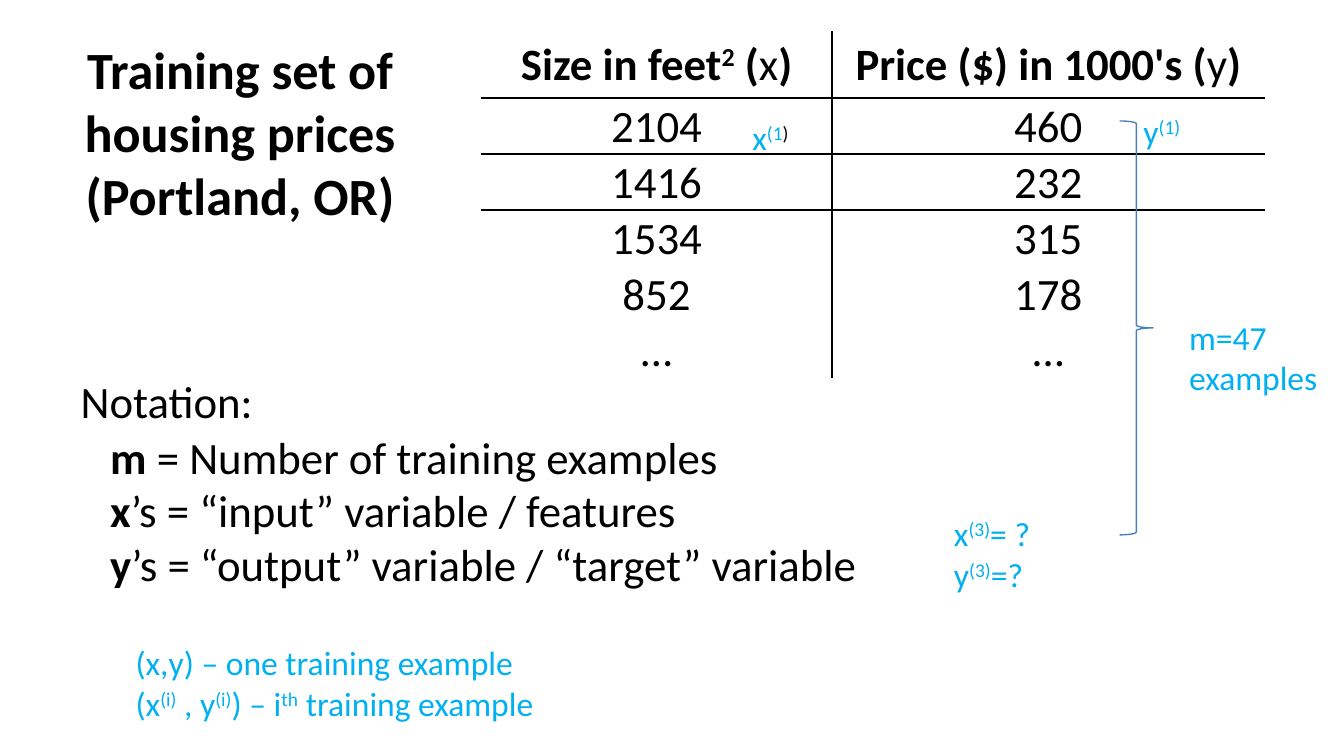
from lxml import etree
from pptx import Presentation
from pptx.dml.color import RGBColor
from pptx.enum.shapes import MSO_SHAPE
from pptx.enum.text import MSO_ANCHOR, MSO_AUTO_SIZE, PP_ALIGN
from pptx.oxml.ns import qn
from pptx.util import Inches, Pt

BLACK = RGBColor(0x00, 0x00, 0x00)
CYAN = RGBColor(0x00, 0xB0, 0xF0)
BLUE = RGBColor(0x4B, 0x7E, 0xBC)
FONT = "Calibri"
NO_STYLE = "{2D5ABB26-0587-4C30-8999-92F81FD0307C}"

# A paragraph is a list of (text, style): "b" bold, "^" superscript, "k" black
TITLE = [[(line, "b")] for line in
         ("Training set of", "housing prices", "(Portland, OR)")]
NOTATION = [
    [("Notation:", "")],
    [("m", "b"), (" = Number of training examples", "")],
    [("x", "b"), ("’s = “input” variable / features", "")],
    [("y", "b"), ("’s = “output” variable / “target” variable", "")],
]
HEADER = [
    [("Size in feet", "b"), ("2", "b^"), (" (", "b"), ("x", ""), (")", "b")],
    [("Price ($) in 1000's (", "b"), ("y", ""), (")", "b")],
]
HOUSES = [("2104", "460"), ("1416", "232"), ("1534", "315"),
          ("852", "178"), ("…", "…")]
COL_WIDTHS = (2.61, 3.22)
HEADER_HEIGHT, ROW_HEIGHT, TABLE_HEIGHT = 0.5, 0.32, 2.54  # rows grow to their text
RULED_ROWS = (0, 1)  # rows with a line below

# (left, top, width, height), paragraphs
NOTES = [
    ((8.75, 2.31, 1.17, 0.71), [[("m=47", "")], [("examples", "")]]),
    ((5.5, 0.82, 0.5, 0.4), [[("x", ""), ("(1", "^"), (")", "^k")]]),
    ((8.41, 0.78, 0.5, 0.4), [[("y", ""), ("(1)", "^")]]),
    ((0.91, 4.73, 3.25, 1.21), [
        [("(x,y) – one training example", "")],
        [("(x", ""), ("(i)", "^"), (" , y", ""), ("(i)", "^"),
         (") – i", ""), ("th", "^"), (" training example", "")],
    ]),
    ((7, 3.77, 1.5, 0.71), [
        [("x", ""), ("(3)", "^"), ("= ?", "")],
        [("y", ""), ("(3)", "^"), ("=?", "")],
    ]),
]


def write(tf, paragraphs, size, color=BLACK, align=PP_ALIGN.LEFT):
    for i, parts in enumerate(paragraphs):
        p = tf.add_paragraph() if i else tf.paragraphs[0]
        p.alignment = align
        p.space_before = Pt(0)
        for text, style in parts:
            r = p.add_run()
            r.text = text
            r.font.name, r.font.size = FONT, Pt(size)
            r.font.bold = "b" in style
            r.font.color.rgb = BLACK if "k" in style else color
            if "^" in style:
                r.font._element.set("baseline", "30000")


def place(sp, box):
    sp.left, sp.top, sp.width, sp.height = map(Inches, box)
    tf = sp.text_frame
    tf.word_wrap = False
    tf.auto_size = MSO_AUTO_SIZE.NONE
    tf.vertical_anchor = MSO_ANCHOR.TOP
    return tf


def add_border(cell, side):
    tcPr = cell._tc.get_or_add_tcPr()
    ln = etree.SubElement(tcPr, qn(f"a:ln{side}"), w=str(Pt(1)))
    fill = etree.SubElement(ln, qn("a:solidFill"))
    etree.SubElement(fill, qn("a:srgbClr"), val=str(BLACK))


def add_house_table(s):
    rows = [HEADER] + [[[(value, "")] for value in house] for house in HOUSES]
    frame = s.shapes.add_table(len(rows), len(COL_WIDTHS), Inches(3.58), Inches(0.23),
                               Inches(sum(COL_WIDTHS)), Inches(TABLE_HEIGHT))
    table = frame.table
    table.first_row = table.horz_banding = False
    table._tbl.tblPr.find(qn("a:tableStyleId")).text = NO_STYLE
    for column, width in zip(table.columns, COL_WIDTHS):
        column.width = Inches(width)
    for i, row in enumerate(rows):
        table.rows[i].height = Inches(ROW_HEIGHT if i else HEADER_HEIGHT)
        for j, parts in enumerate(row):
            cell = table.cell(i, j)
            cell.margin_left = cell.margin_right = cell.margin_top = Inches(0.01)
            cell.margin_bottom = 0
            cell.vertical_anchor = MSO_ANCHOR.BOTTOM if i else MSO_ANCHOR.MIDDLE
            write(cell.text_frame, [parts], 24, align=PP_ALIGN.CENTER)
            add_border(cell, "L" if j else "R")
            if i - 1 in RULED_ROWS:
                add_border(cell, "T")
            if i in RULED_ROWS:
                add_border(cell, "B")
            cell.fill.background()
    frame.height = Inches(TABLE_HEIGHT)


prs = Presentation()
prs.slide_width = Inches(10)
prs.slide_height = prs.slide_width * 9 // 16
s = prs.slides.add_slide(prs.slide_layouts[1])
title, body = s.placeholders

write(place(title, (0.5, 0.23, 2.57, 1.51)), TITLE, 28, align=PP_ALIGN.CENTER)

tf = place(body, (0.5, 2.73, 6.03, 1.75))
write(tf, NOTATION, 24)
for i, p in enumerate(tf.paragraphs):
    pPr = p._p.get_or_add_pPr()
    pPr.set("marL", str(Inches(0.22 if i else 0)))
    pPr.set("indent", "0")
    etree.SubElement(pPr, qn("a:buNone"))
tf.paragraphs[1].space_before = Pt(1)

add_house_table(s)

brace = s.shapes.add_shape(MSO_SHAPE.RIGHT_BRACE, Inches(8.33), Inches(0.9),
                           Inches(0.25), Inches(3.08))
brace.shadow.inherit = False
brace.fill.background()
brace.line.color.rgb = BLUE
brace.line.width = Pt(0.75)

for box, paragraphs in NOTES:
    note = s.shapes.add_textbox(0, 0, 0, 0)
    write(place(note, box), paragraphs, 18, CYAN)

prs.save("out.pptx")
